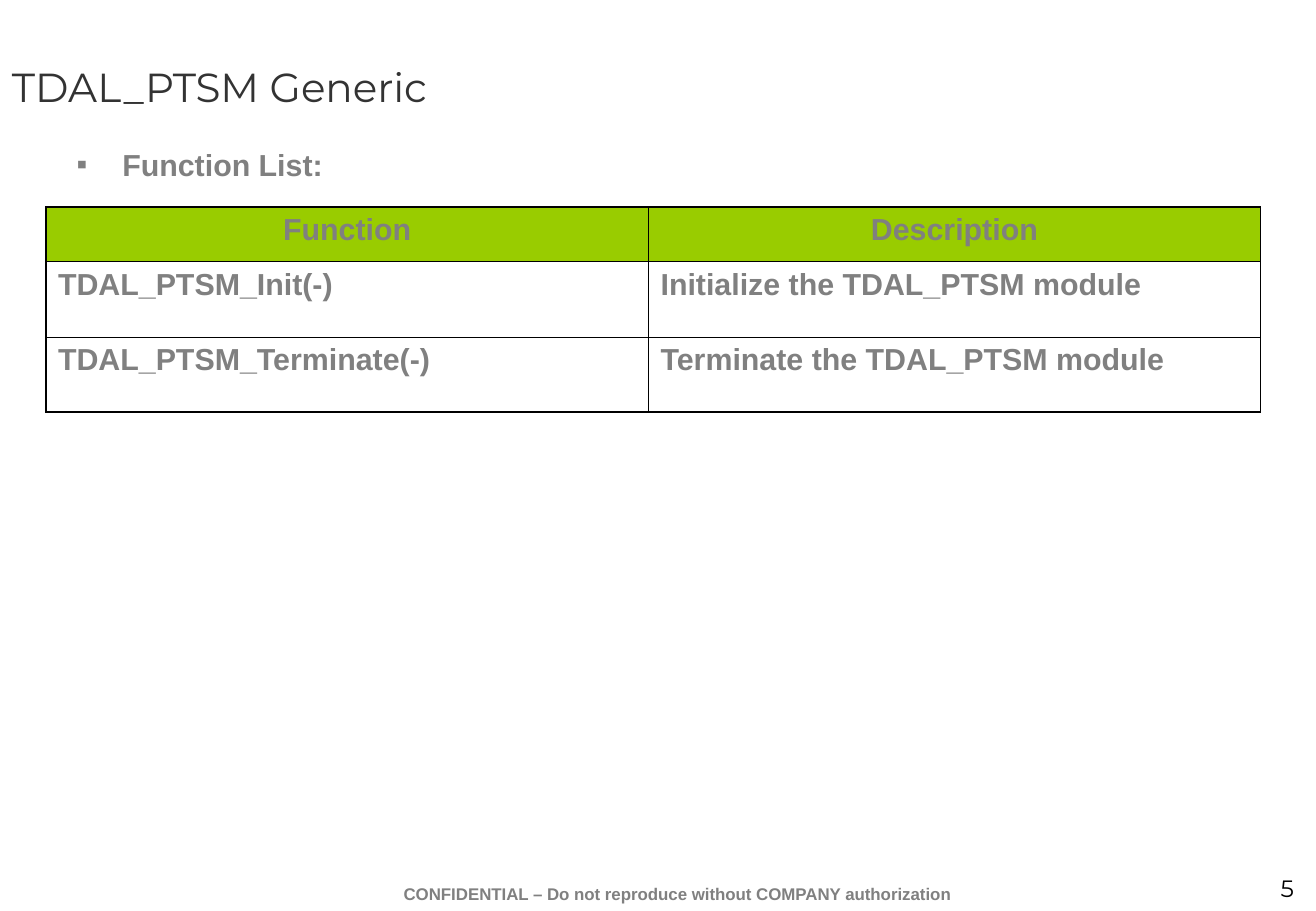
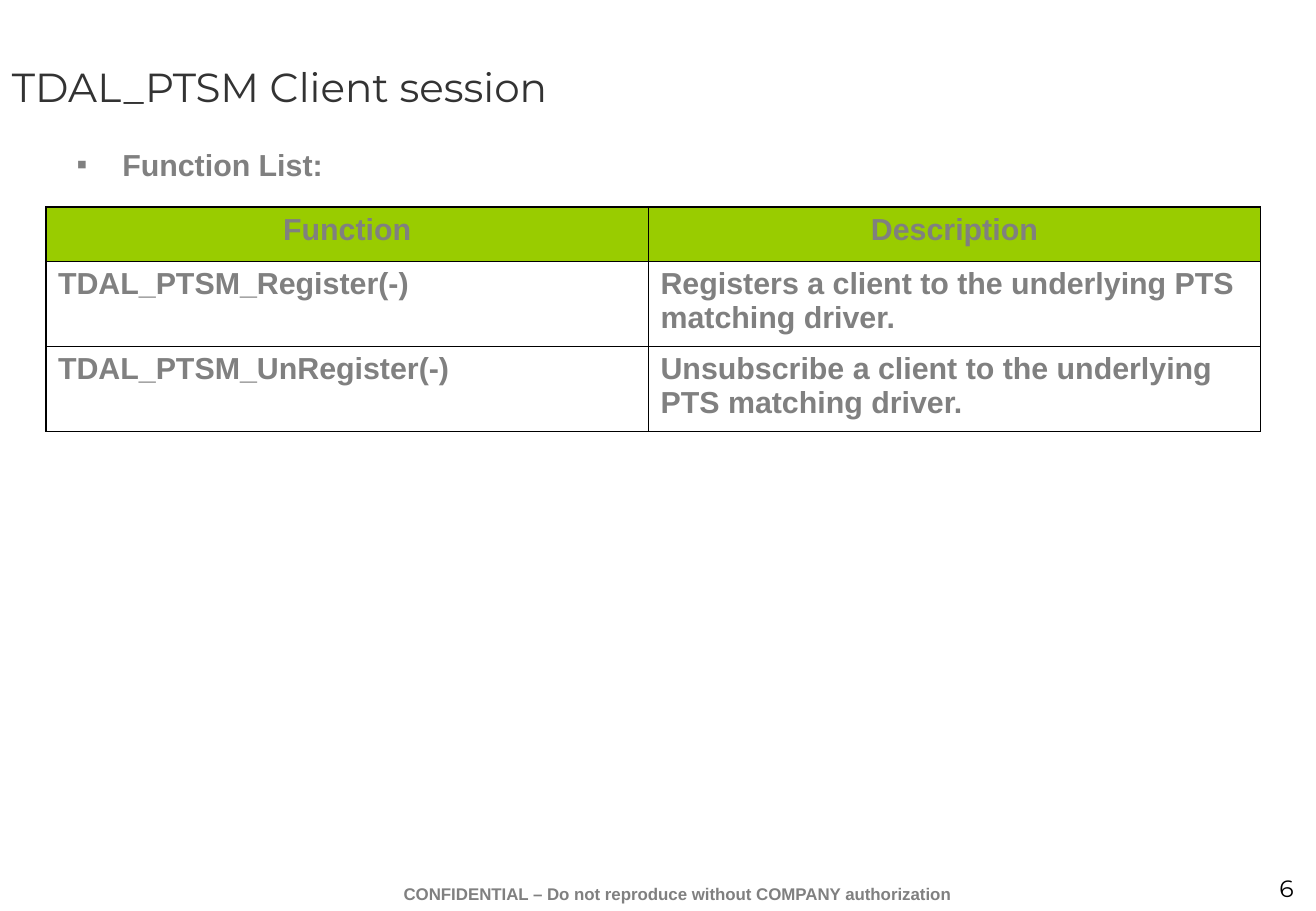
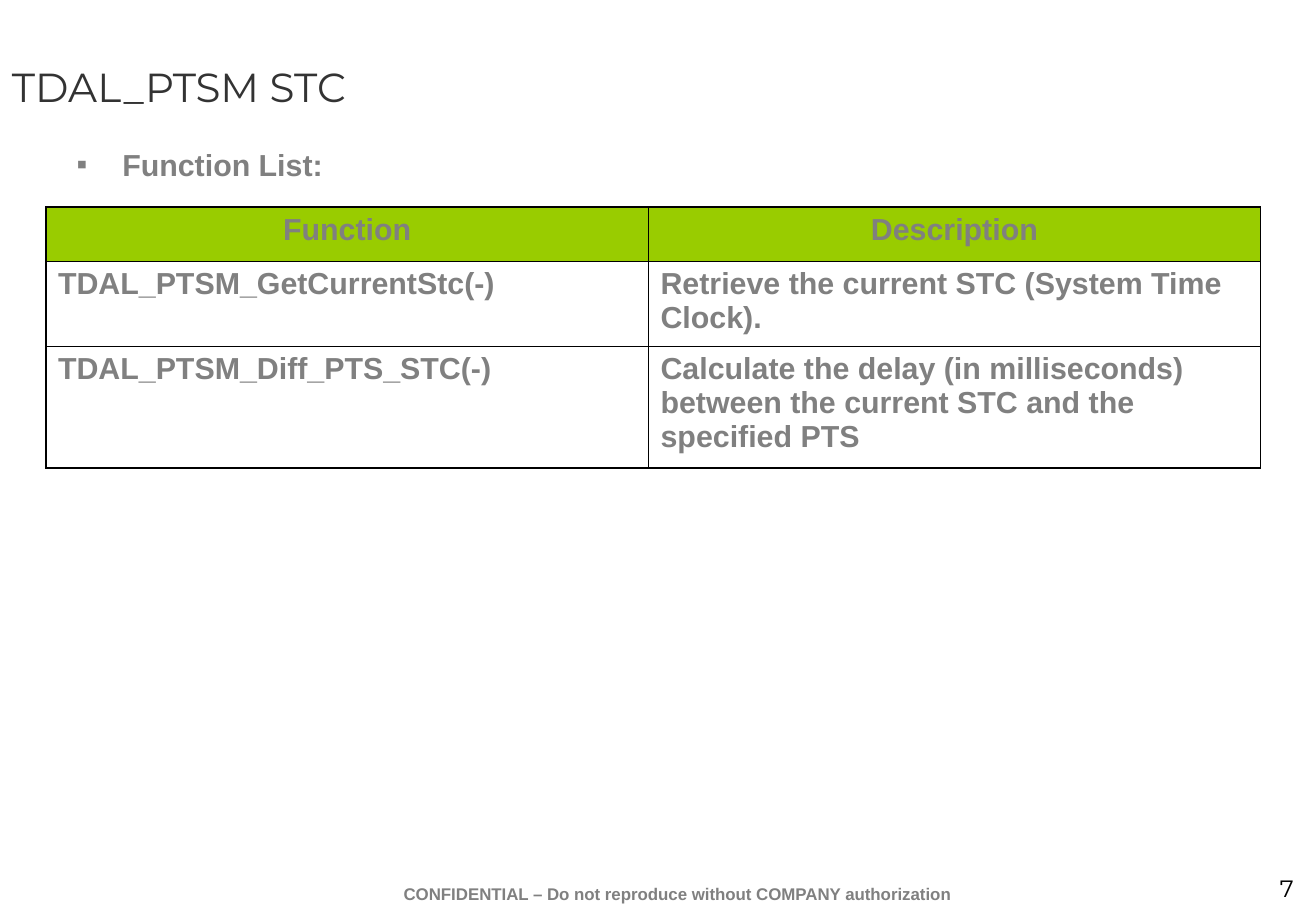
from lxml import etree
from pptx import Presentation
from pptx.dml.color import RGBColor
from pptx.enum.text import MSO_ANCHOR, PP_ALIGN
from pptx.oxml.ns import qn
from pptx.util import Pt

LEFT, CENTER, RIGHT = PP_ALIGN.LEFT, PP_ALIGN.CENTER, PP_ALIGN.RIGHT
TOP, MIDDLE = MSO_ANCHOR.TOP, MSO_ANCHOR.MIDDLE

WHITE = RGBColor(0xFF, 0xFF, 0xFF)
BLACK = RGBColor(0x00, 0x00, 0x00)
DARK = RGBColor(0x33, 0x33, 0x33)
GRAY = RGBColor(0x80, 0x80, 0x80)
GREEN = RGBColor(0x99, 0xCC, 0x00)

SLIDE_W, SLIDE_H = 780.13, 540
OUTER, INNER = 1.08, 0.45
COL_WIDTHS = (357.2, 362.8)
HEADER = ("Function", "Description")
FIRST_PAGE = 5
FOOTER = "CONFIDENTIAL – Do not reproduce without COMPANY authorization"

TITLE_FONT = {"name": "Montserrat", "size": Pt(24), "color": DARK}
PAGE_FONT = {"name": "Montserrat", "size": Pt(14), "color": BLACK}
BODY_FONT = {"name": "Arial", "size": Pt(18), "bold": True, "color": GRAY}
FOOTER_FONT = {**BODY_FONT, "size": Pt(10)}

SLIDES = [
    ("TDAL_PTSM Generic", [
        (32.4, *HEADER),
        (44.6, "TDAL_PTSM_Init(-)", "Initialize the TDAL_PTSM module"),
        (44.6, "TDAL_PTSM_Terminate(-)", "Terminate the TDAL_PTSM module"),
    ]),
    ("TDAL_PTSM Client session", [
        (32, *HEADER),
        (50.6, "TDAL_PTSM_Register(-)",
         "Registers a client to the underlying PTS matching driver."),
        (50.6, "TDAL_PTSM_UnRegister(-)",
         "Unsubscribe a client to the underlying PTS matching driver."),
    ]),
    ("TDAL_PTSM STC", [
        (32, *HEADER),
        (50.6, "TDAL_PTSM_GetCurrentStc(-)",
         "Retrieve the current STC (System Time Clock)."),
        (72.2, "TDAL_PTSM_Diff_PTS_STC(-)",
         "Calculate the delay (in milliseconds) between the current STC "
         "and the specified PTS"),
    ]),
]


def write(p, text, fmt, align=LEFT):
    p.alignment = align
    r = p.add_run()
    r.text = text
    for key, value in fmt.items():
        if key == "color":
            r.font.color.rgb = value
        else:
            setattr(r.font, key, value)


def add_text(s, box, text, fmt, align=LEFT, anchor=TOP):
    tf = s.shapes.add_textbox(*map(Pt, box)).text_frame
    tf.word_wrap = True
    tf.vertical_anchor = anchor
    write(tf.paragraphs[0], text, fmt, align)
    return tf


def add_bullet(p, char, indent):
    pPr = p._p.get_or_add_pPr()
    pPr.set("marL", str(Pt(indent)))
    pPr.set("indent", str(-Pt(indent)))
    color = etree.SubElement(pPr, qn("a:buClr"))
    etree.SubElement(color, qn("a:srgbClr"), val=str(GRAY))
    etree.SubElement(pPr, qn("a:buFont"), typeface="Arial")
    etree.SubElement(pPr, qn("a:buChar"), char=char)


def add_borders(cell, widths):
    tcPr = cell._tc.get_or_add_tcPr()
    for side, width in widths.items():
        ln = etree.SubElement(tcPr, qn(f"a:ln{side}"), w=str(Pt(width)))
        fill = etree.SubElement(ln, qn("a:solidFill"))
        etree.SubElement(fill, qn("a:srgbClr"), val=str(BLACK))


def add_function_table(s, rows):
    height = sum(row[0] for row in rows)
    frame = s.shapes.add_table(len(rows), len(COL_WIDTHS), Pt(27.2), Pt(122.7),
                               Pt(sum(COL_WIDTHS)), Pt(height))
    table = frame.table
    table.horz_banding = False
    table.first_row = False
    for col, width in zip(table.columns, COL_WIDTHS):
        col.width = Pt(width)
    last_row, last_col = len(rows) - 1, len(COL_WIDTHS) - 1
    for i, (row_h, *texts) in enumerate(rows):
        table.rows[i].height = Pt(row_h)
        for j, text in enumerate(texts):
            cell = table.cell(i, j)
            add_borders(cell, {
                "L": OUTER if j == 0 else INNER,
                "R": OUTER if j == last_col else INNER,
                "T": OUTER if i == 0 else INNER,
                "B": OUTER if i == last_row else INNER,
            })
            if i == 0:
                cell.fill.solid()
                cell.fill.fore_color.rgb = GREEN
            else:
                cell.fill.background()
            write(cell.text_frame.paragraphs[0], text, BODY_FONT,
                  CENTER if i == 0 else LEFT)


def add_function_slide(prs, page, title, rows):
    s = prs.slides.add_slide(prs.slide_layouts[6])
    s.background.fill.solid()
    s.background.fill.fore_color.rgb = WHITE
    add_text(s, (690.6, 514.3, 83.5, 24), str(page), PAGE_FONT, RIGHT)
    add_text(s, (191.4, 520, 420, 20), FOOTER, FOOTER_FONT, CENTER)
    add_text(s, (0, 0, 780, 102), title, TITLE_FONT, anchor=MIDDLE)
    tf = add_text(s, (38.4, 83, 713.5, 356), "Function List:", BODY_FONT)
    add_bullet(tf.paragraphs[0], "▪", 27)
    add_function_table(s, rows)


def main():
    prs = Presentation()
    prs.slide_width, prs.slide_height = Pt(SLIDE_W), Pt(SLIDE_H)
    for page, (title, rows) in enumerate(SLIDES, FIRST_PAGE):
        add_function_slide(prs, page, title, rows)
    prs.save("out.pptx")


if __name__ == "__main__":
    main()
